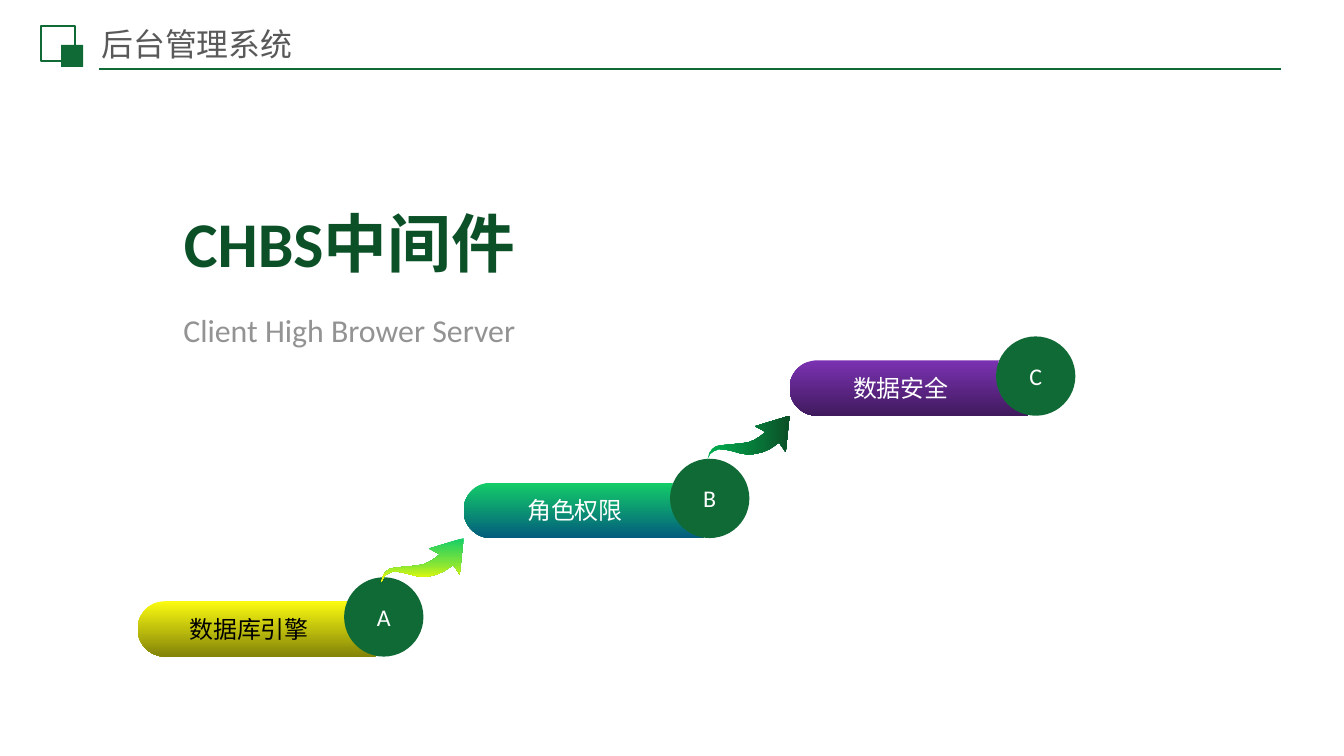
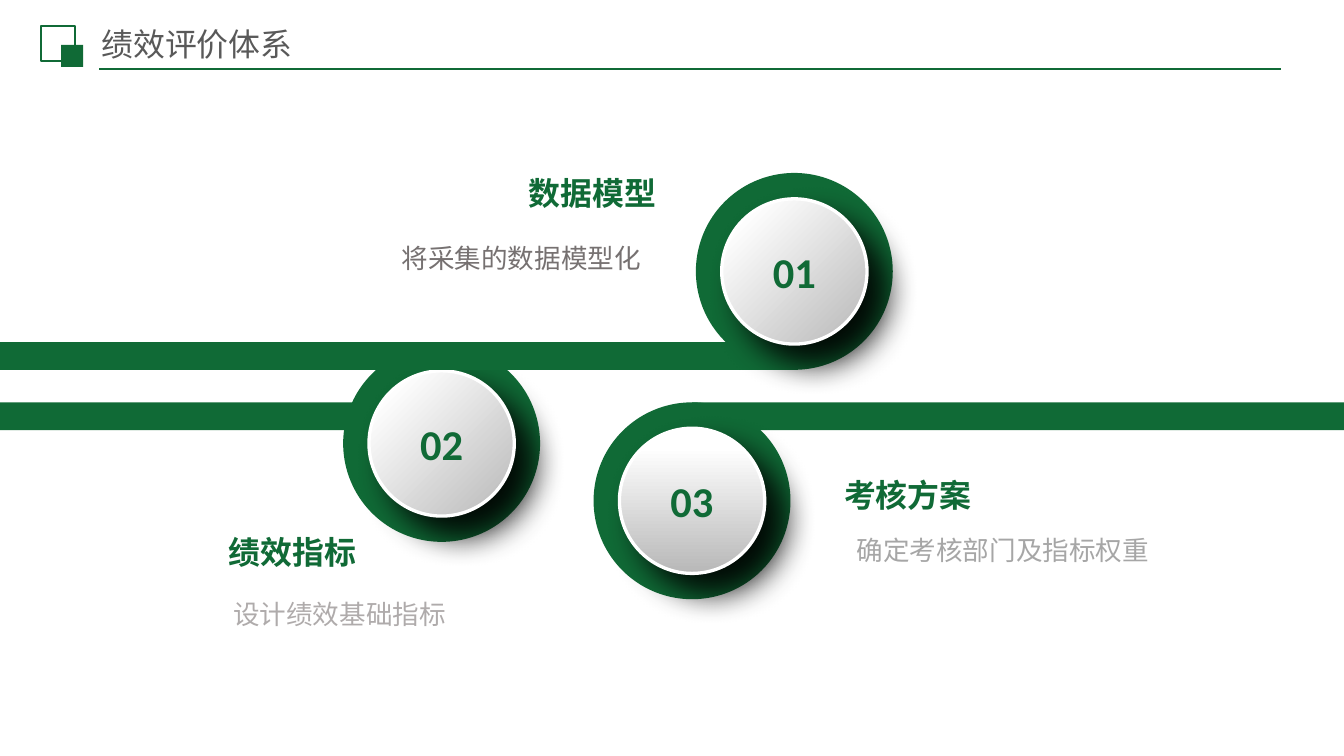
from copy import deepcopy
from math import cos, radians, sin
from typing import NamedTuple

from lxml import etree
from pptx import Presentation
from pptx.dml.color import RGBColor
from pptx.enum.shapes import MSO_CONNECTOR, MSO_SHAPE
from pptx.enum.text import MSO_ANCHOR, PP_ALIGN
from pptx.oxml.ns import qn
from pptx.util import Inches, Pt

RECT, OVAL = MSO_SHAPE.RECTANGLE, MSO_SHAPE.OVAL
STRAIGHT = MSO_CONNECTOR.STRAIGHT
TOP, MIDDLE, BOTTOM = MSO_ANCHOR.TOP, MSO_ANCHOR.MIDDLE, MSO_ANCHOR.BOTTOM
LEFT, CENTER, JUSTIFY = PP_ALIGN.LEFT, PP_ALIGN.CENTER, PP_ALIGN.JUSTIFY

# Grid of square cells, ten to the inch; every length below is in cells
CELL = Inches(0.1)
COLS, ROWS = 140.6, 79.1
CJK = "Noto Sans CJK SC"
COLORS = {
    "green": "106A36", "deep": "0C5028", "title": "595959", "subtitle": "939393",
    "white": "FFFFFF", "black": "000000", "silver": "B8B8B8",
    "note_dark": "767171", "note": "AFABAB", "note_light": "A6A6A6",
    "yellow": "FBFB11", "olive": "838309", "mint": "14CD68", "teal": "035C7D",
    "violet": "7B32B2", "plum": "401A5D",
    "lime": "8AE634", "lemon": "FFFF00", "leaf": "00B050",
}


class Gradient(NamedTuple):
    stops: tuple  # (percent, colour name)
    angle: int


class Step(NamedTuple):
    x: float
    y: float
    letter: str
    label: str
    ink: str
    fill: Gradient
    arrow: Gradient | None  # arrow leading to this step


class Milestone(NamedTuple):
    number: str
    ring: tuple
    bar: tuple  # left, top, width
    angle: int


class Caption(NamedTuple):
    text: str
    box: tuple
    heading: bool = False
    color: str = "green"
    font: str = "Arial"
    align: PP_ALIGN = LEFT
    spacing: float = 1.0


STEPS = (
    Step(14.4, 62.9, "A", "数据库引擎", "black",
         Gradient(((0, "yellow"), (100, "olive")), 90), None),
    Step(48.5, 50.5, "B", "角色权限", "white",
         Gradient(((0, "mint"), (100, "teal")), 90),
         Gradient(((0, "mint"), (62, "lime"), (100, "lemon")), 90)),
    Step(82.6, 37.7, "C", "数据安全", "white",
         Gradient(((0, "violet"), (100, "plum")), 90),
         Gradient(((0, "leaf"), (100, "deep")), 0)),
)
PILL_W, PILL_H, DISC = 25.1, 5.8, 8.3
DISC_DX, DISC_DY = 21.6, -2.5
ARROW_W = 8.6
ARROW = (
    (8.6, 0), (5, 1.1), (6.1, 1.7), (5.6, 2.1), (5, 2.5), (4.4, 2.75), (3.6, 2.9),
    (2.4, 3), (1.4, 3.1), (0.9, 3.2), (0.5, 3.5), (0.2, 3.9), (0, 4.6), (0.3, 4),
    (0.7, 3.7), (1.2, 3.5), (1.9, 3.55), (2.6, 3.7), (3.5, 3.95), (4.2, 4.05),
    (5, 4), (5.8, 3.8), (6.5, 3.5), (7.1, 3.1), (7.5, 2.8), (8.2, 3.8),
)

RING, KNOB, BAR_H = 20.6, 15.2, 2.9
MILESTONES = (
    Milestone("02", (35.9, 36.1), (0, 42.1, 48.8), 45),
    Milestone("01", (72.8, 18.1), (0, 35.8, 83.1), 45),
    Milestone("03", (62.1, 42.1), (72.4, 42.1, COLS - 72.4), 90),
)
CAPTIONS = (
    Caption("将采集的数据模型化", (42, 25.3, 30.8, 3.4), color="note_dark", font=CJK),
    Caption("数据模型", (55.3, 17.4, 13.5, 4.4), True, spacing=1.2),
    Caption("设计绩效基础指标", (24.4, 60.9, 32, 4.4), color="note",
            align=JUSTIFY, spacing=1.5),
    Caption("绩效指标", (23.9, 54.9, 13.5, 4.4), True, spacing=1.2),
    Caption("确定考核部门及指标权重", (89.6, 54.2, 35, 4.4), color="note_light",
            align=JUSTIFY, spacing=1.5),
    Caption("考核方案", (88.3, 49, 13.5, 4.4), True, spacing=1.2),
)


def cells(*values: float) -> list:
    return [round(v * CELL) for v in values]


def rgb(name: str) -> RGBColor:
    return RGBColor.from_string(COLORS[name])


def paint(sp, fill: str | Gradient | None, line: str | None = None, width: float = 1):
    """Give a shape its fill and outline, and take its shadow away."""
    sp.shadow.inherit = False
    if fill is None:
        sp.fill.background()
    elif isinstance(fill, Gradient):
        sp.fill.gradient()
        sp.fill.gradient_angle = (360 - fill.angle) % 360
        stop_list = sp._element.spPr.find(qn("a:gradFill")).find(qn("a:gsLst"))
        for _ in fill.stops[2:]:
            stop_list.append(deepcopy(stop_list[0]))
        for stop, (percent, color) in zip(sp.fill.gradient_stops, fill.stops):
            stop.color.rgb = rgb(color)
            stop.position = percent / 100
    else:
        sp.fill.solid()
        sp.fill.fore_color.rgb = rgb(fill)
    if line:
        sp.line.color.rgb = rgb(line)
        sp.line.width = Pt(width)
    else:
        sp.line.fill.background()
    return sp


def add_shape(s, kind, box: tuple, fill, line: str | None = None, width: float = 1):
    return paint(s.shapes.add_shape(kind, *cells(*box)), fill, line, width)


def add_outline(s, points: list, fill: Gradient):
    dots = [cells(*p) for p in points]
    builder = s.shapes.build_freeform(*dots[0], scale=1.0)
    builder.add_line_segments(dots[1:], close=True)
    return paint(builder.convert_to_shape(), fill)


def drop_shadow(sp) -> None:
    effects = sp._element.spPr.find(qn("a:effectLst"))
    shadow = etree.SubElement(
        effects, qn("a:outerShdw"), blurRad=str(Pt(24)), dist=str(Pt(20)),
        dir="2700000", algn="tl", rotWithShape="0")
    color = etree.SubElement(shadow, qn("a:srgbClr"), val=COLORS["black"])
    etree.SubElement(color, qn("a:alpha"), val="90000")


def write(sp, text: str, *, size: float, color: str, font: str = "Calibri",
          bold: bool = False, align=CENTER, anchor=MIDDLE, spacing: float = 1.0,
          before: float = 0, insets: tuple = (1, 0.5, 1, 0.5), wrap: bool = True) -> None:
    tf = sp.text_frame
    tf.word_wrap = wrap
    tf.vertical_anchor = anchor
    tf.margin_left, tf.margin_top, tf.margin_right, tf.margin_bottom = cells(*insets)
    p = tf.paragraphs[0]
    p.alignment, p.line_spacing, p.space_before = align, spacing, Pt(before)
    r = p.add_run()
    r.text = text
    r.font.name, r.font.size, r.font.bold = font, Pt(size), bold
    r.font.color.rgb = rgb(color)
    etree.SubElement(r._r.get_or_add_rPr(), qn("a:ea"), typeface=CJK)


def add_text(s, box: tuple, text: str, **style) -> None:
    write(s.shapes.add_textbox(*cells(*box)), text, **style)


def add_slide(prs, title: str, font: str):
    """Blank slide with the shared header."""
    s = prs.slides.add_slide(prs.slide_layouts[6])
    rule = s.shapes.add_connector(STRAIGHT, *cells(10.4, 7.2, 134, 7.2))
    rule.line.color.rgb = rgb("green")
    rule.line.width = Pt(1.25)
    etree.SubElement(rule._element.spPr, qn("a:effectLst"))
    add_shape(s, RECT, (4.3, 2.7, 3.6, 3.7), None, "green", 1.5)
    add_shape(s, RECT, (6.4, 4.7, 2.3, 2.3), "green")
    add_text(s, (9.9, 2.9, 41.5, 3.9), title, size=24, color="title", font=font,
             align=LEFT, spacing=0.9, insets=(0.7, 0.4, 0.7, 0.4))
    return s


def pill_points(x: float, y: float) -> list:
    """Round left end, and a right end hollowed to follow the disc."""
    radius, disc_r = PILL_H / 2, DISC / 2
    cap = [(x + radius + radius * cos(radians(a)), y + radius + radius * sin(radians(a)))
           for a in range(90, 271, 6)]
    cx, cy = x + DISC_DX + disc_r, y + DISC_DY + disc_r
    hollow = [(cx + disc_r * cos(radians(a)), cy + disc_r * sin(radians(a)))
              for a in range(198, 98, -6)]
    return cap + [(x + 21.9, y)] + hollow + [(x + PILL_W, y + 5.7), (x + 24.5, y + PILL_H)]


def draw_step(s, step: Step) -> None:
    if step.arrow:
        left, top = step.x - ARROW_W, step.y + PILL_H
        add_outline(s, [(left + dx, top + dy) for dx, dy in ARROW], step.arrow)
    pill = add_outline(s, pill_points(step.x, step.y), step.fill)
    write(pill, step.label, size=18, color=step.ink, insets=(1, 0.5, 2.8, 0.5))
    disc = add_shape(s, OVAL, (step.x + DISC_DX, step.y + DISC_DY, DISC, DISC), "green")
    write(disc, step.letter, size=18, color="white")


def draw_milestone(s, m: Milestone) -> None:
    add_shape(s, RECT, (*m.bar, BAR_H), "green")
    add_shape(s, OVAL, (*m.ring, RING, RING), "green")
    gap = (RING - KNOB) / 2
    shine = Gradient(((13, "white"), (100, "silver")), m.angle)
    knob = add_shape(s, OVAL, (m.ring[0] + gap, m.ring[1] + gap, KNOB, KNOB),
                     shine, "white", 2.5)
    drop_shadow(knob)
    write(knob, m.number, size=32, color="green", bold=True)


def main() -> None:
    prs = Presentation()
    prs.slide_width, prs.slide_height = cells(COLS, ROWS)

    # Staircase of middleware layers
    s = add_slide(prs, "后台管理系统", "Arial")
    for step in STEPS:
        draw_step(s, step)
    add_text(s, (-5.2, 16.7, 83.5, 13.2), "CHBS中间件", size=48, color="deep",
             bold=True, anchor=BOTTOM, spacing=0.9)
    add_text(s, (-5.2, 30.9, 83.5, 7.7), "Client High Brower Server", size=24,
             color="subtitle", spacing=0.9, before=10)

    # Three numbered milestones with captions
    s = add_slide(prs, "绩效评价体系", CJK)
    for m in MILESTONES:
        draw_milestone(s, m)
    for c in CAPTIONS:
        add_text(s, c.box, c.text, size=24 if c.heading else 20, bold=c.heading,
                 color=c.color, font=c.font, align=c.align, anchor=TOP,
                 spacing=c.spacing, insets=(0, 0, 0, 0), wrap=not c.heading)

    prs.save("out.pptx")


if __name__ == "__main__":
    main()
